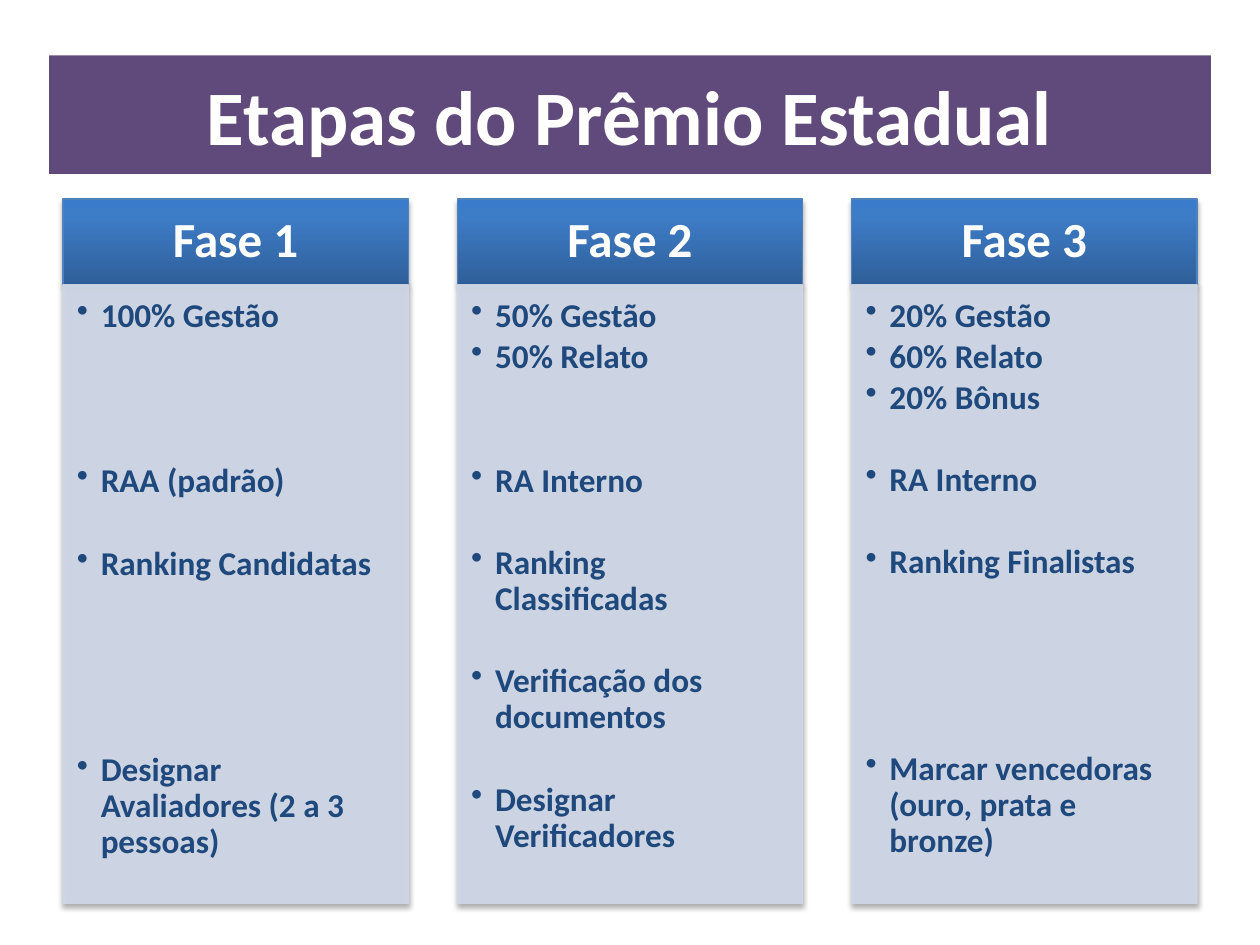
from dataclasses import dataclass

from lxml.etree import SubElement
from pptx import Presentation
from pptx.dml.color import RGBColor
from pptx.enum.shapes import MSO_SHAPE
from pptx.enum.text import MSO_ANCHOR, MSO_AUTO_SIZE, PP_ALIGN
from pptx.oxml import parse_xml
from pptx.oxml.ns import nsdecls, qn
from pptx.util import Inches, Pt


@dataclass(frozen=True)
class Theme:
    """Colours, font and type sizes of the slide."""
    font: str = "Calibri"
    white: str = "FFFFFF"
    banner: str = "604A7B"
    panel: str = "D0D8E8"
    header_line: str = "4F81BD"
    ink: str = "1F497D"
    gradient: tuple = ((0, "2F5F99"), (80, "3D7CC7"), (100, "3A7CCB"))
    title_size: float = 44
    header_size: float = 28
    item_size: float = 19


theme = Theme()


def add_block(left, top, width, height, insets, line_color):
    """Add a rectangle with a soft shadow, a thin line and text insets."""
    block = slide.shapes.add_shape(
        MSO_SHAPE.RECTANGLE, *(Inches(v) for v in (left, top, width, height)))
    block.line.color.rgb = RGBColor.from_string(line_color)
    block.line.width = Pt(0.75)
    block.shadow.inherit = False
    effects = block.element.spPr.find(qn("a:effectLst"))
    effects.append(parse_xml(
        f'<a:outerShdw {nsdecls("a")} blurRad="40000" dist="23000" dir="5400000" '
        'rotWithShape="0"><a:srgbClr val="000000"><a:alpha val="35000"/>'
        '</a:srgbClr></a:outerShdw>'))
    frame = block.text_frame
    frame.word_wrap = True
    (frame.margin_left, frame.margin_top,
     frame.margin_right, frame.margin_bottom) = (Inches(v) for v in insets)
    return block


def style(paragraph, size, color):
    """Format the runs of a paragraph in bold theme type."""
    for run in paragraph.runs:
        run.font.name = theme.font
        run.font.size = Pt(size)
        run.font.bold = True
        run.font.color.rgb = RGBColor.from_string(color)


# Each item is preceded by the number of empty rows above it.
phases = {
    "Fase 1": [(0, "100% Gestão"), (3, "RAA (padrão)"), (1, "Ranking Candidatas"),
               (4, "Designar Avaliadores (2 a 3 pessoas)")],
    "Fase 2": [(0, "50% Gestão"), (0, "50% Relato"), (2, "RA Interno"),
               (1, "Ranking Classificadas"), (1, "Verificação dos documentos"),
               (1, "Designar Verificadores")],
    "Fase 3": [(0, "20% Gestão"), (0, "60% Relato"), (0, "20% Bônus"),
               (1, "RA Interno"), (1, "Ranking Finalistas"),
               (4, "Marcar vencedoras (ouro, prata e bronze)")],
}

deck = Presentation()
deck.slide_width, deck.slide_height = Inches(10), Inches(7.5)
slide = deck.slides.add_slide(deck.slide_layouts[5])

# Title banner
title = slide.shapes.title
title.left, title.top = Inches(0.39), Inches(0.44)
title.width, title.height = Inches(9.22), Inches(0.94)
title.element.spPr.append(parse_xml(
    f'<a:prstGeom {nsdecls("a")} prst="roundRect"><a:avLst>'
    '<a:gd name="adj" fmla="val 25400"/></a:avLst></a:prstGeom>'))
title.fill.solid()
title.fill.fore_color.rgb = RGBColor.from_string(theme.banner)
title.text_frame.text = "Etapas do Prêmio Estadual"
title.text_frame.auto_size = MSO_AUTO_SIZE.NONE
title.text_frame.vertical_anchor = MSO_ANCHOR.MIDDLE
title.text_frame.paragraphs[0].alignment = PP_ALIGN.CENTER
style(title.text_frame.paragraphs[0], theme.title_size, theme.white)

# Phase columns
first_left, column_width, column_step = 0.5, 2.74, 3.13
header_top, header_height, panel_height = 1.58, 0.68, 4.91
line_spacing = 0.9
item_gap = 0.15 * theme.item_size
row_pitch = 1.22 * line_spacing * theme.item_size + item_gap

for column, (phase, items) in enumerate(phases.items()):
    left = first_left + column * column_step

    header = add_block(left, header_top, column_width, header_height,
                       (0.22, 0.12, 0.22, 0.12), theme.header_line)
    stops = "".join(f'<a:gs pos="{share * 1000}"><a:srgbClr val="{color}"/></a:gs>'
                    for share, color in theme.gradient)
    header.element.spPr.find(qn("a:prstGeom")).addnext(parse_xml(
        f'<a:gradFill {nsdecls("a")} rotWithShape="1"><a:gsLst>{stops}</a:gsLst>'
        '<a:lin ang="16200000" scaled="0"/></a:gradFill>'))
    header.text_frame.text = phase
    header.text_frame.vertical_anchor = MSO_ANCHOR.MIDDLE
    heading = header.text_frame.paragraphs[0]
    heading.alignment = PP_ALIGN.CENTER
    heading.line_spacing = line_spacing
    style(heading, theme.header_size, theme.white)

    panel = add_block(left, header_top + header_height, column_width, panel_height,
                      (0.11, 0.11, 0.15, 0.17), theme.panel)
    panel.fill.solid()
    panel.fill.fore_color.rgb = RGBColor.from_string(theme.panel)
    for color in panel.element.spPr.findall(".//" + qn("a:solidFill") + "/" + qn("a:srgbClr")):
        SubElement(color, qn("a:alpha"), val="90000")
    panel.text_frame.vertical_anchor = MSO_ANCHOR.TOP
    panel.text_frame.text = "\n".join(text for _, text in items)
    for item, (empty_rows, _) in zip(panel.text_frame.paragraphs, items):
        item.alignment = PP_ALIGN.LEFT
        item.line_spacing = line_spacing
        item.space_before = Pt(empty_rows * row_pitch)
        item.space_after = Pt(item_gap)
        style(item, theme.item_size, theme.ink)
        properties = item._p.get_or_add_pPr()
        properties.set("marL", str(Inches(0.19)))
        properties.set("indent", str(-Inches(0.19)))
        SubElement(properties, qn("a:buChar"), char="•")

deck.save("out.pptx")
